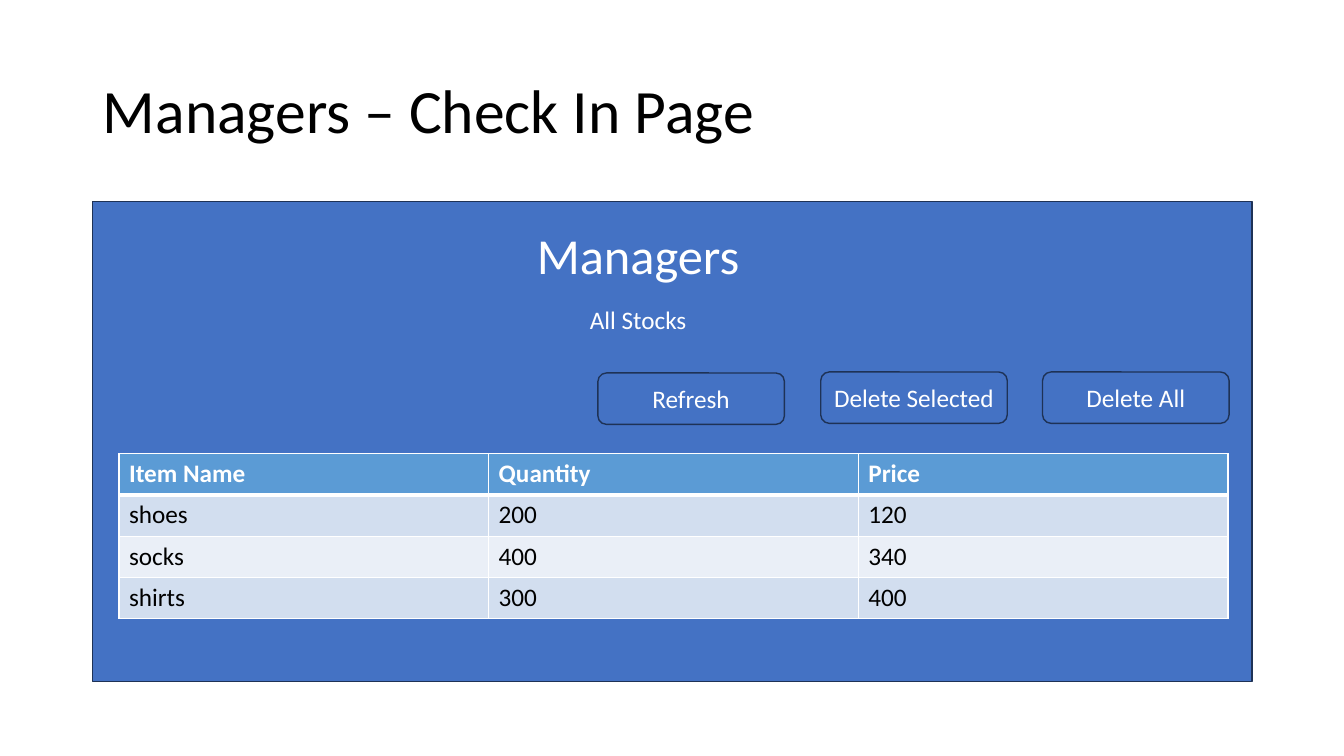
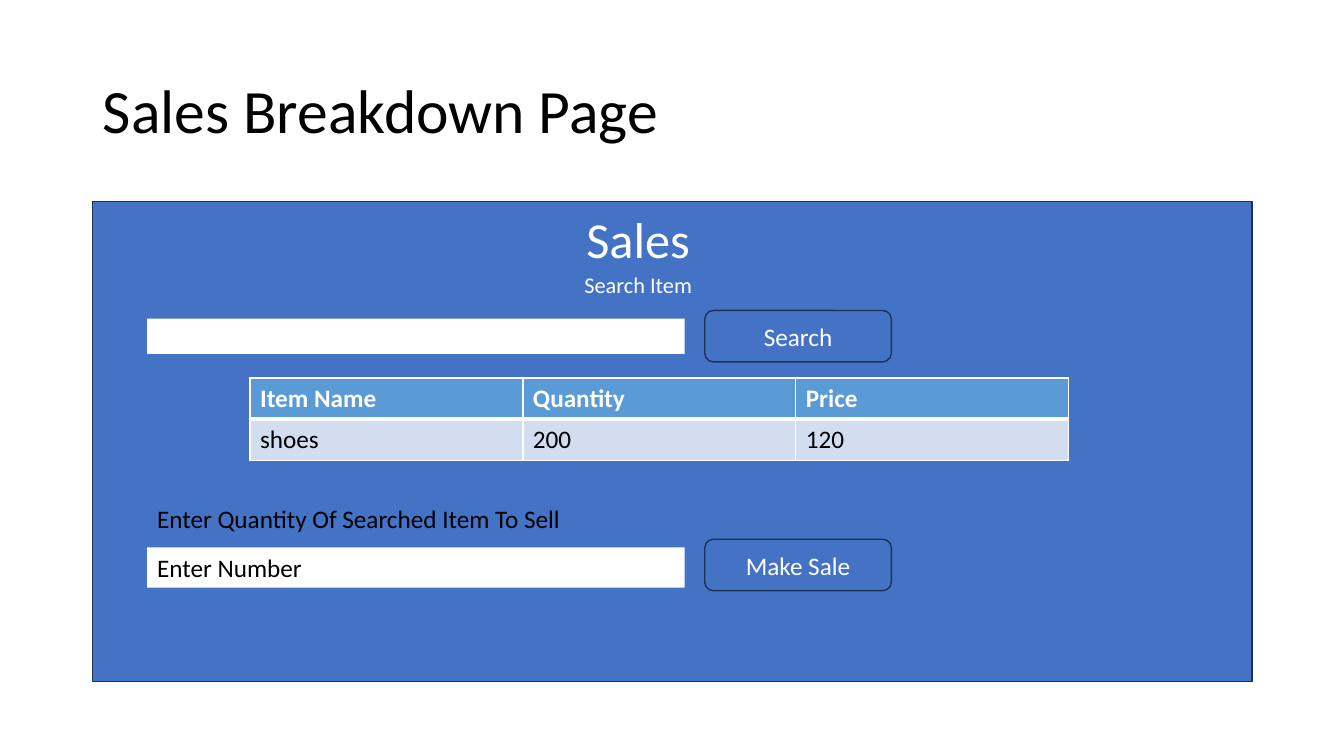
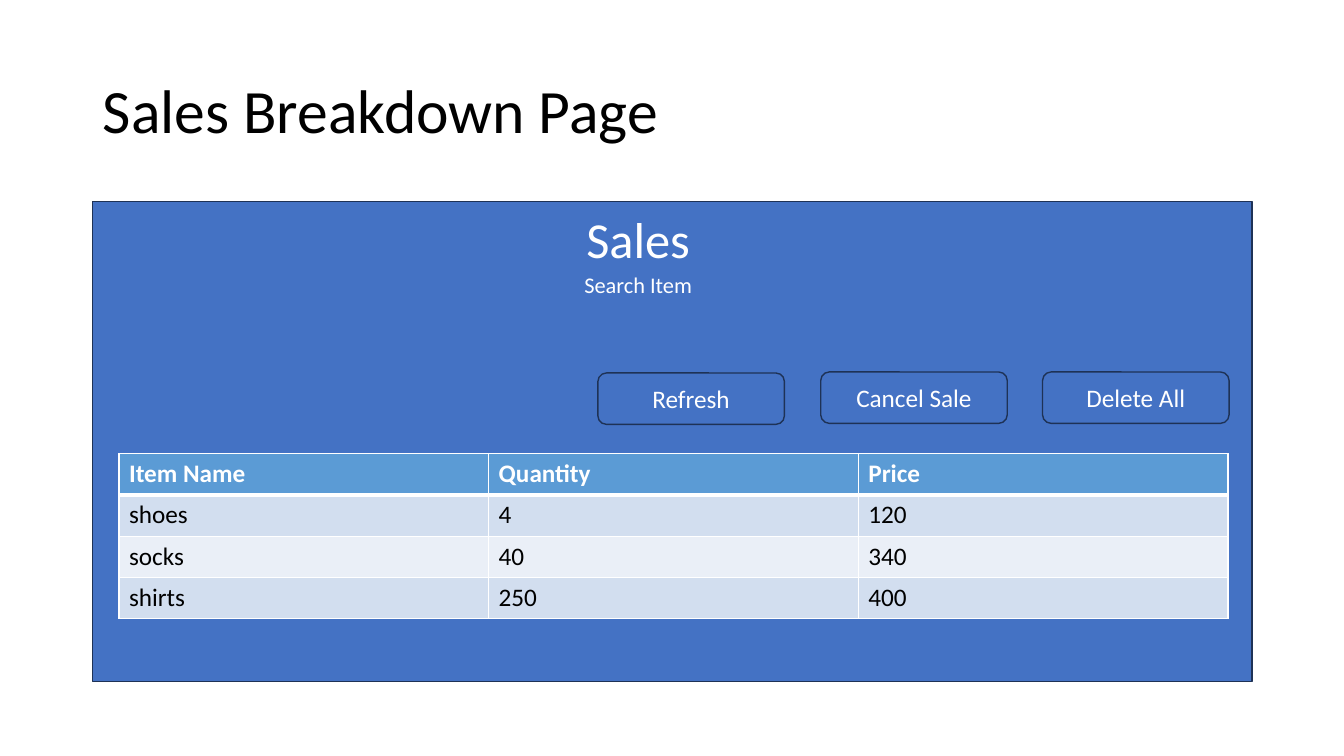
"""Build three wireframe slides of a stock and sales application."""
from lxml import etree
from pptx import Presentation
from pptx.dml.color import RGBColor as RGB
from pptx.enum.shapes import MSO_SHAPE as SHAPE
from pptx.enum.text import MSO_ANCHOR as ANCHOR, MSO_AUTO_SIZE as AUTO, PP_ALIGN as ALIGN
from pptx.oxml.ns import qn
from pptx.util import Inches, Pt

HUES = {"panel": "4472C4", "edge": "1E3256", "white": "FFFFFF", "black": "000000",
        "head": "5B9BD5", "odd": "D2DEEF", "even": "EAEFF7"}
TITLE = {"size": Pt(44), "bold": False}
HEADING = {"size": Pt(36), "bold": False}
BODY = {"size": Pt(18), "bold": False}
SMALL = {"size": Pt(16), "bold": False}
STRONG = {"size": Pt(18), "bold": True}
HEADS = ["Item Name", "Quantity", "Price"]
ROW = 0.41
WIDE = (1.18, 4.5, 11)
SALES = [("Sales", 2.01, 0.71, HEADING, "panel"), ("Search Item", 2.59, 0.47, SMALL, None)]

PAGES = [
    {"title": "Managers – Check In Page",
     "heads": [("Managers", 2.17, 0.71, HEADING, "panel"), ("All Stocks", 2.88, 0.58, BODY, "panel")],
     "buttons": [("Refresh", 5.93, 3.7), ("Delete Selected", 8.14, 3.69), ("Delete All", 10.34, 3.69)],
     "place": WIDE,
     "rows": [["shoes", "200", "120"], ["socks", "400", "340"], ["shirts", "300", "400"]]},
    {"title": "Sales Breakdown Page",
     "heads": SALES,
     "buttons": [("Search", 6.99, 3.08), ("Make Sale", 6.99, 5.35)],
     "fields": [("", 3.16, 0.35), ("Enter Number", 5.43, 0.4)],
     "label": "Enter Quantity Of Searched Item To Sell",
     "place": (2.48, 3.75, 8.12),
     "rows": [["shoes", "200", "120"]]},
    {"title": "Sales Breakdown Page",
     "heads": SALES,
     "buttons": [("Refresh", 5.93, 3.7), ("Cancel Sale", 8.14, 3.69), ("Delete All", 10.34, 3.69)],
     "place": WIDE,
     "rows": [["shoes", "4", "120"], ["socks", "40", "340"], ["shirts", "250", "400"]]},
]


def write(frame, text, style, hue, align=ALIGN.LEFT):
    frame.word_wrap = True
    line = frame.paragraphs[0]
    line.alignment = align
    run = line.add_run()
    run.text = text
    run.font.name = "Calibri"
    run.font.color.rgb = RGB.from_string(HUES[hue])
    for key, value in style.items():
        setattr(run.font, key, value)


def box(slide, kind, place, fill="panel", edge=None):
    shape = slide.shapes.add_shape(kind, *map(Inches, place))
    shape.shadow.inherit = False
    for part, hue in ((shape.fill, fill), (shape.line.fill, edge)):
        if hue:
            part.solid()
            part.fore_color.rgb = RGB.from_string(HUES[hue])
        else:
            part.background()
    if edge:
        shape.line.width = Pt(1)
    return shape


deck = Presentation()
deck.slide_width, deck.slide_height = Inches(13.33), Inches(7.5)

for page in PAGES:
    slide = deck.slides.add_slide(deck.slide_layouts[5])
    title = slide.shapes.title
    title.left, title.top, title.width, title.height = map(Inches, (0.92, 0.4, 11.5, 1.45))
    frame = title.text_frame
    frame.auto_size = AUTO.NONE
    frame.vertical_anchor = ANCHOR.MIDDLE
    write(frame, page["title"], TITLE, "black")
    frame.paragraphs[0].line_spacing = 0.9

    box(slide, SHAPE.RECTANGLE, (0.92, 2, 11.5, 4.76), edge="edge")
    for text, top, height, style, fill in page["heads"]:
        shape = box(slide, SHAPE.ROUNDED_RECTANGLE, (4.06, top, 4.54, height), fill)
        write(shape.text_frame, text, style, "white", ALIGN.CENTER)
    for text, left, top in page["buttons"]:
        shape = box(slide, SHAPE.ROUNDED_RECTANGLE, (left, top, 1.85, 0.51), edge="edge")
        write(shape.text_frame, text, BODY, "white", ALIGN.CENTER)
    for text, top, height in page.get("fields", []):
        shape = box(slide, SHAPE.RECTANGLE, (1.46, top, 5.33, height), "white")
        if text:
            write(shape.text_frame, text, BODY, "black")
    if "label" in page:
        label = slide.shapes.add_textbox(*map(Inches, (1.46, 4.94, 4.54, 0.4)))
        write(label.text_frame, page["label"], BODY, "black")

    rows = [HEADS] + page["rows"]
    left, top, width = page["place"]
    size = map(Inches, (left, top, width, ROW * len(rows)))
    table = slide.shapes.add_table(len(rows), len(HEADS), *size).table
    for r, row in enumerate(rows):
        fill = "head" if r == 0 else "odd" if r % 2 else "even"
        style, hue = (BODY, "black") if r else (STRONG, "white")
        for c, text in enumerate(row):
            cell = table.cell(r, c)
            write(cell.text_frame, text, style, hue)
            props = cell._tc.get_or_add_tcPr()
            for side in "LRTB":
                thick = (r, side) in ((0, "B"), (1, "T"))
                line = etree.SubElement(props, qn(f"a:ln{side}"), w=str(Pt(3 if thick else 1)))
                solid = etree.SubElement(line, qn("a:solidFill"))
                etree.SubElement(solid, qn("a:srgbClr"), val=HUES["white"])
            cell.fill.solid()
            cell.fill.fore_color.rgb = RGB.from_string(HUES[fill])

deck.save("out.pptx")
